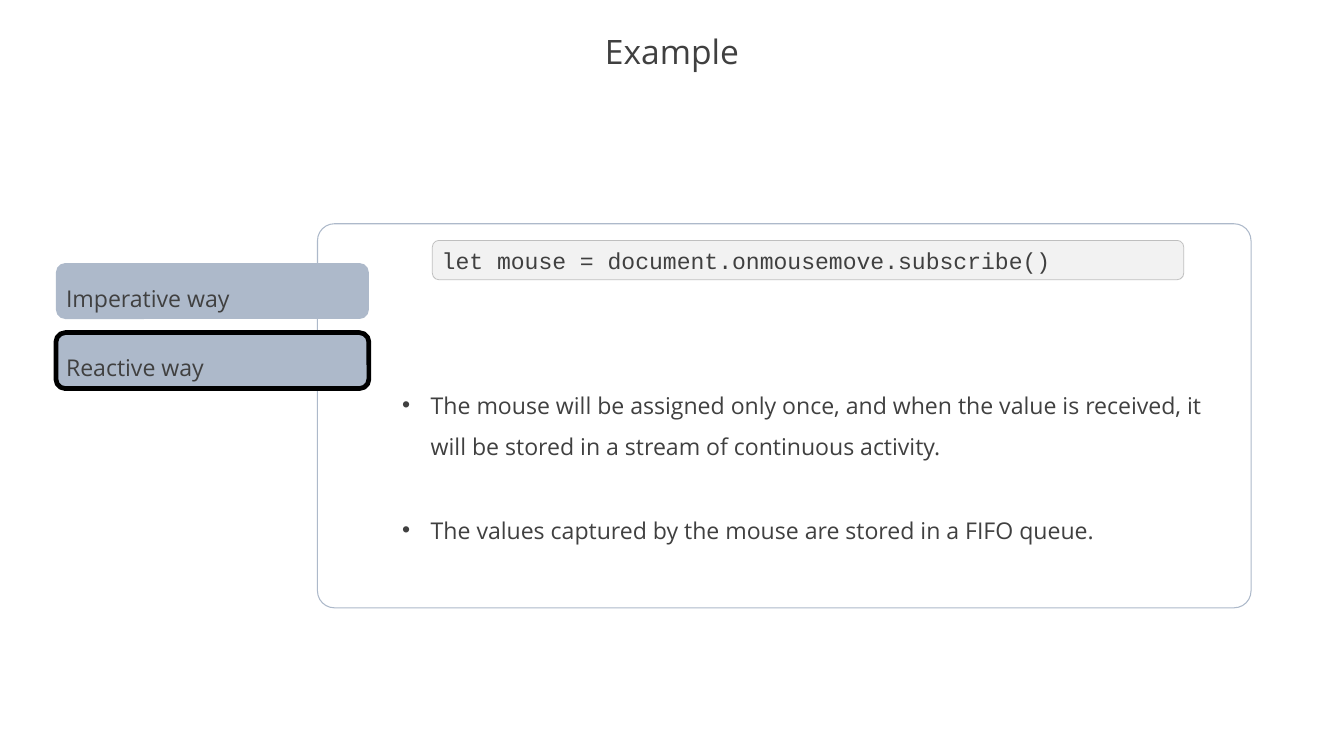
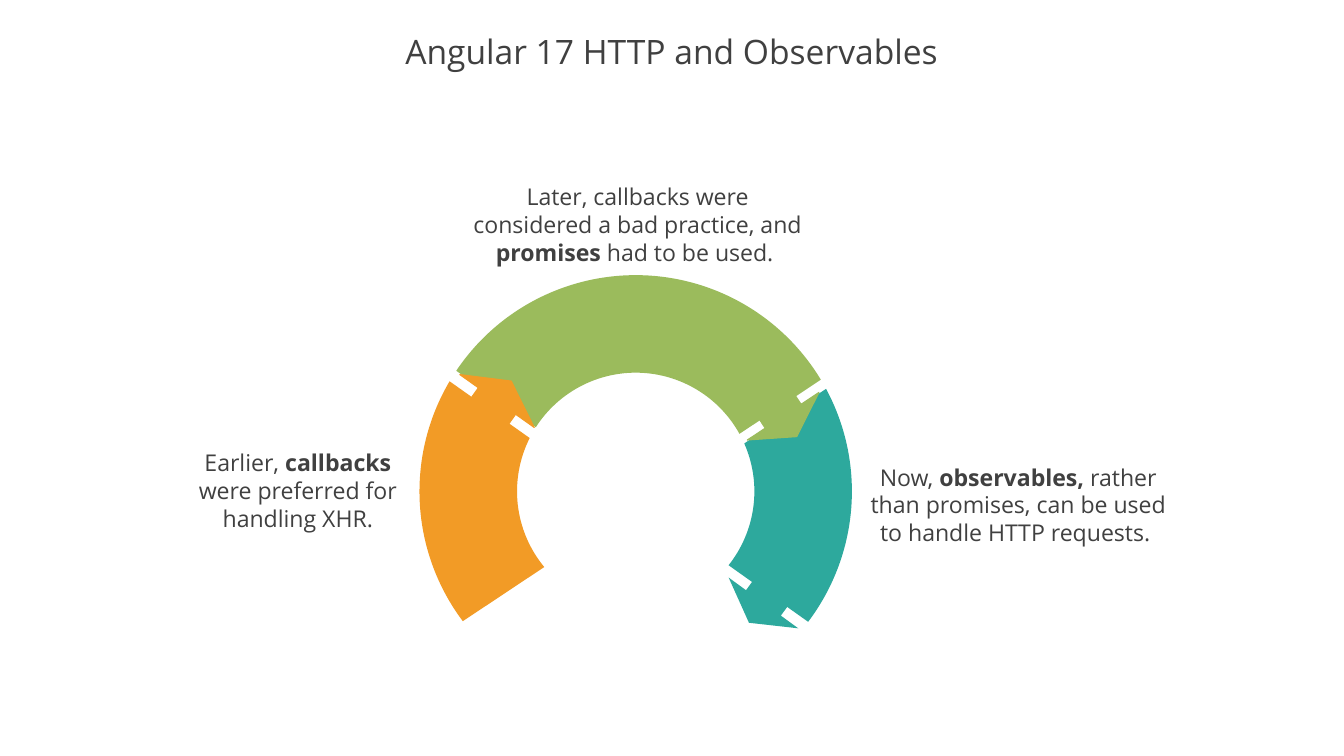
from dataclasses import dataclass
from math import cos, radians, sin, tan
from typing import Optional

from lxml.etree import SubElement
from pptx import Presentation
from pptx.dml.color import RGBColor
from pptx.enum.shapes import MSO_SHAPE as Preset
from pptx.enum.text import MSO_ANCHOR as Anchor, MSO_AUTO_SIZE as AutoSize, PP_ALIGN as Align
from pptx.oxml.ns import qn
from pptx.util import Inches, Pt

COLORS = {
    "white": "FFFFFF", "text": "404040", "slate": "ADB9CA", "black": "000000",
    "code_fill": "F2F2F2", "code_line": "BFBFBF",
    "teal": "2DA99D", "green": "9BBB5C", "orange": "F29B26",
}
BODY_FONT, CODE_FONT = "Open Sans", "Courier New"
TITLE_SIZE, BODY_SIZE = 32, 22
SLIDE_WIDTH, SLIDE_HEIGHT = 17.78, 10
RING_X, RING_Y, OUTER_RADIUS, INNER_RADIUS = 8.41, 6.5, 2.86, 1.57


@dataclass
class Box:
    left: float
    top: float
    width: float
    height: float

    def lengths(self) -> tuple:
        return tuple(Inches(n) for n in (self.left, self.top, self.width, self.height))


@dataclass
class Tab:
    text: str
    active: bool = False


@dataclass
class Caption:
    box: Box
    runs: list


@dataclass
class Stage:
    """Ring segment: (start, end) angles on each edge, and the arrow that leaves it."""
    color: str
    outer: tuple
    inner: tuple
    arrow: Box
    rotation: float
    outlined: bool = True


def rgb(name: str) -> RGBColor:
    return RGBColor.from_string(COLORS[name])


def add_run(paragraph, text: str, size: float = BODY_SIZE, font: str = BODY_FONT, bold: bool = False) -> None:
    run = paragraph.add_run()
    run.text = text
    run.font.name, run.font.size, run.font.bold = font, Pt(size), bold
    run.font.color.rgb = rgb("text")


def paint(shape, fill: str, line: Optional[str] = None, width: float = 1) -> None:
    shape.shadow.inherit = False
    shape.fill.solid()
    shape.fill.fore_color.rgb = rgb(fill)
    if line:
        shape.line.color.rgb = rgb(line)
        shape.line.width = Pt(width)
    else:
        shape.line.fill.background()


def add_preset(slide, preset, box: Box, fill: str, line: Optional[str] = None, width: float = 1):
    shape = slide.shapes.add_shape(preset, *box.lengths())
    paint(shape, fill, line, width)
    return shape


def prepare_frame(shape, anchor, grow: bool = False):
    frame = shape.text_frame
    frame.word_wrap = True
    frame.vertical_anchor = anchor
    frame.auto_size = AutoSize.SHAPE_TO_FIT_TEXT if grow else AutoSize.NONE
    return frame


def add_titled_slide(presentation, title: str):
    slide = presentation.slides.add_slide(presentation.slide_layouts[5])
    shape = slide.shapes.title
    shape.left, shape.top, shape.width, shape.height = Box(0, 0.35, SLIDE_WIDTH, 0.73).lengths()
    paragraph = prepare_frame(shape, Anchor.MIDDLE).paragraphs[0]
    paragraph.alignment = Align.CENTER
    paragraph.line_spacing = 0.9
    add_run(paragraph, title, TITLE_SIZE)
    return slide


def add_bullets(slide, box: Box, items: list) -> None:
    frame = prepare_frame(slide.shapes.add_textbox(*box.lengths()), Anchor.TOP, grow=True)
    for index, item in enumerate(items):
        paragraph = frame.add_paragraph() if index else frame.paragraphs[0]
        properties = paragraph._p.get_or_add_pPr()
        properties.set("marL", str(Inches(0.38)))
        properties.set("indent", str(-Inches(0.38)))
        SubElement(properties, qn("a:buFont"), typeface="Arial")
        SubElement(properties, qn("a:buChar"), char="•")
        paragraph.line_spacing = 1.5
        if index:
            paragraph.space_before = Pt(40)
        add_run(paragraph, item)


def add_tab(slide, tab: Tab, index: int) -> None:
    box = Box(0.74, 3.48 + 0.92 * index, 4.14, 0.74)
    shape = add_preset(slide, Preset.ROUNDED_RECTANGLE, box, "slate", "black" if tab.active else None, 4.5)
    paragraph = prepare_frame(shape, Anchor.MIDDLE).paragraphs[0]
    paragraph.alignment = Align.LEFT
    paragraph.line_spacing = 1.5
    add_run(paragraph, tab.text)


def add_caption(slide, caption: Caption) -> None:
    shape = slide.shapes.add_textbox(*caption.box.lengths())
    paragraph = prepare_frame(shape, Anchor.MIDDLE, grow=True).paragraphs[0]
    paragraph.alignment = Align.CENTER
    for text, bold in caption.runs:
        add_run(paragraph, text, bold=bold)


def ring_point(radius: float, angle: float, along: float = 0) -> tuple:
    """Point at an angle (clockwise from the right), moved along the tangent."""
    x = RING_X + radius * (cos(angle) - along * sin(angle))
    y = RING_Y + radius * (sin(angle) + along * cos(angle))
    return Inches(x), Inches(y)


def arc_points(radius: float, start: float, end: float) -> list:
    """Start point, then two cubic curves of two control points and an end point."""
    half = radians(end - start) / 2
    handle = 4 / 3 * tan(half / 4)
    points = [ring_point(radius, radians(start))]
    for first in (radians(start), radians(start) + half):
        last = first + half
        points += [ring_point(radius, first, handle), ring_point(radius, last, -handle), ring_point(radius, last)]
    return points


def bend(lines: list) -> None:
    """Turn three line segments into one cubic curve."""
    curve = lines[0].makeelement(qn("a:cubicBezTo"))
    lines[0].addprevious(curve)
    for line in lines:
        curve.append(line[0])
        line.getparent().remove(line)


def add_stage(slide, stage: Stage) -> None:
    points = arc_points(OUTER_RADIUS, *stage.outer) + arc_points(INNER_RADIUS, *reversed(stage.inner))
    builder = slide.shapes.build_freeform(*points[0])
    builder.add_line_segments(points[1:], close=True)
    segment = builder.convert_to_shape()
    lines = list(segment._element.iter(qn("a:lnTo")))
    for first in (0, 3, 7, 10):
        bend(lines[first:first + 3])
    paint(segment, stage.color)
    arrow = add_preset(slide, Preset.UP_ARROW, stage.arrow, stage.color, stage.color if stage.outlined else None)
    arrow.rotation = stage.rotation


def build_example(presentation) -> None:
    slide = add_titled_slide(presentation, "Example")

    # Panel with code and explanation
    panel = add_preset(slide, Preset.ROUNDED_RECTANGLE, Box(4.2, 2.96, 12.35, 5.08), "white", "slate")
    panel.adjustments[0] = 0.044
    code = add_preset(slide, Preset.ROUNDED_RECTANGLE, Box(5.72, 3.18, 9.94, 0.52), "code_fill", "code_line", 0.75)
    paragraph = prepare_frame(code, Anchor.TOP, grow=True).paragraphs[0]
    paragraph.alignment = Align.LEFT
    add_run(paragraph, "let mouse = document.onmousemove.subscribe()", font=CODE_FONT)
    add_bullets(slide, Box(5.22, 4.94, 10.99, 2.32), [
        "The mouse will be assigned only once, and when the value is received, "
        "it will be stored in a stream of continuous activity.",
        "The values captured by the mouse are stored in a FIFO queue.",
    ])

    # Tabs
    for index, tab in enumerate([Tab("Imperative way"), Tab("Reactive way", active=True)]):
        add_tab(slide, tab, index)


def build_observables(presentation) -> None:
    slide = add_titled_slide(presentation, "Angular 17 HTTP and Observables")

    # Captions around the ring
    for caption in [
        Caption(Box(11.31, 6.07, 4.32, 1.21), [
            ("Now, ", False), ("observables, ", True),
            ("rather than promises, can be used to handle HTTP requests. ", False)]),
        Caption(Box(2.27, 5.88, 3.34, 1.21), [
            ("Earlier, ", False), ("callbacks ", True), ("were preferred for handling XHR.", False)]),
        Caption(Box(6.11, 2.36, 4.65, 1.21), [
            ("Later, callbacks were considered a bad practice, and ", False),
            ("promises ", True), ("had to be used. ", False)]),
    ]:
        add_caption(slide, caption)

    # Ring, last stage first so that each arrow overlaps the next stage
    for stage in [
        Stage("teal", (-28.3, 37.1), (-23.8, 38.5), Box(9.53, 7.65, 1.14, 0.65), 216.1, outlined=False),
        Stage("green", (213.9, 328.9), (212.7, 331), Box(9.79, 5.18, 1.14, 0.65), 146.4),
        Stage("orange", (143.1, 210.6), (140.4, 206.7), Box(5.97, 4.98, 1.21, 0.65), 35.4),
    ]:
        add_stage(slide, stage)


def main() -> None:
    presentation = Presentation()
    presentation.slide_width, presentation.slide_height = Inches(SLIDE_WIDTH), Inches(SLIDE_HEIGHT)
    build_example(presentation)
    build_observables(presentation)
    presentation.save("out.pptx")


if __name__ == "__main__":
    main()
